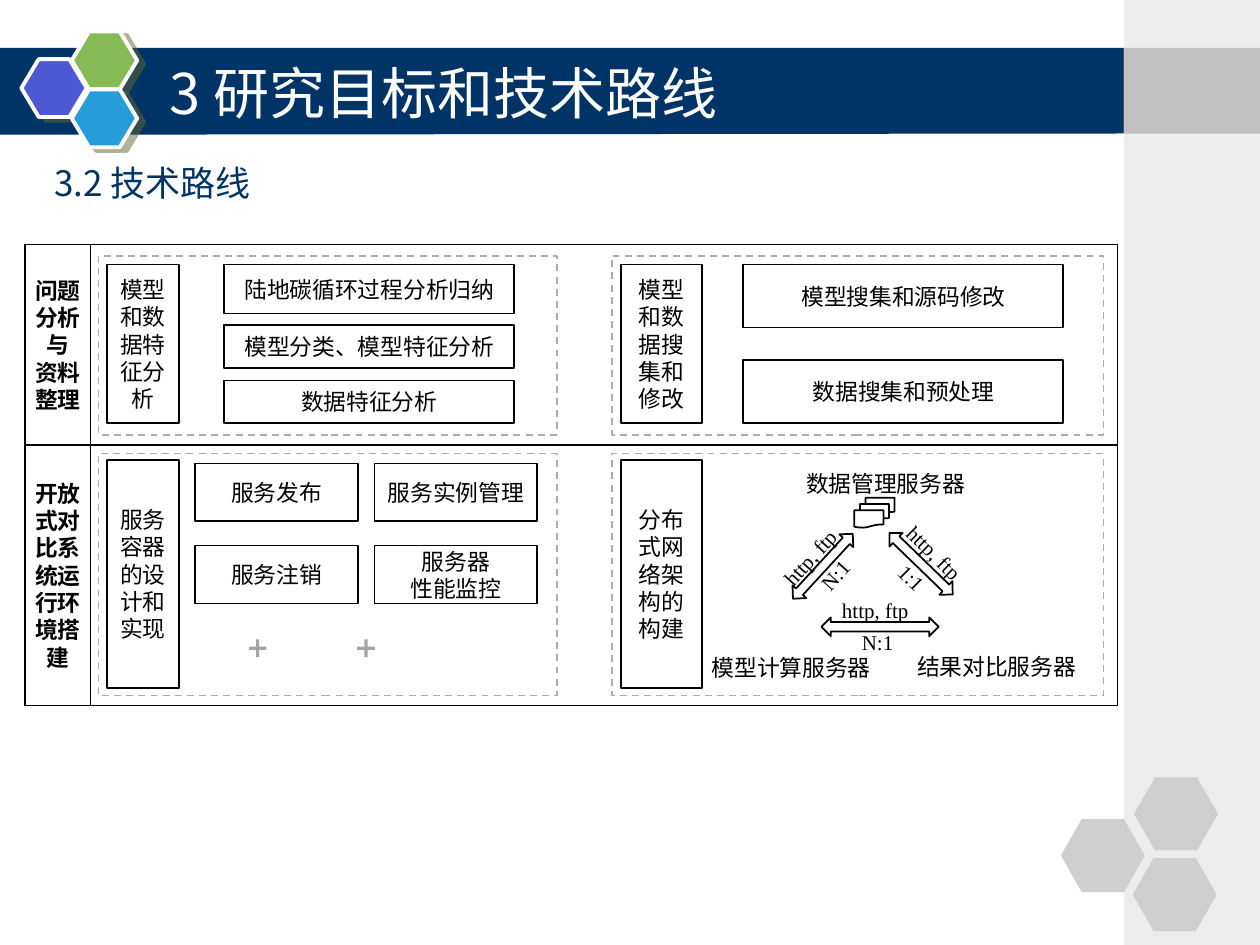
from dataclasses import dataclass
from itertools import product

from lxml import etree
from pptx import Presentation
from pptx import util as u
from pptx.dml.color import RGBColor
from pptx.enum import dml, shapes, text
from pptx.oxml import ns

Kind = shapes.MSO_SHAPE


@dataclass(frozen=True)
class Theme:
    navy: str = "003366"
    white: str = "FFFFFF"
    black: str = "000000"
    dash: str = "AFABAB"
    plus: str = "A5A5A5"
    shadow: str = "666633"
    side: str = "ECECEC"
    side_band: str = "C0C0C0"
    pale_hexagon: str = "CFCFCF"
    indigo: str = "4C59D2"
    green: str = "85BA54"
    blue: str = "269DD8"
    title: int = 32
    subtitle: int = 20
    body: int = 13
    link: int = 12
    sans: str = "Noto Sans CJK SC"
    serif: str = "Times New Roman"


@dataclass(frozen=True)
class Area:
    left: float
    top: float
    width: float
    height: float
    turn: float = 0


@dataclass(frozen=True)
class Words:
    lines: tuple[str, ...]
    size: int
    font: str
    color: str
    bold: bool = False
    centered: bool = True
    middle: bool = True
    spacing: float | None = None
    inset: tuple[float, float] = (7.2, 3.6)


THEME = Theme()
TIGHT = (3.6, 2.9)


def color(value: str) -> RGBColor:
    return RGBColor.from_string(value)


def body(*lines: str, **options) -> Words:
    return Words(lines, THEME.body, THEME.serif, THEME.black, **options)


def write(box, words: Words) -> None:
    frame = box.text_frame
    frame.word_wrap = True
    frame.vertical_anchor = text.MSO_ANCHOR.MIDDLE if words.middle else text.MSO_ANCHOR.TOP
    frame.margin_left = frame.margin_right = u.Pt(words.inset[0])
    frame.margin_top = frame.margin_bottom = u.Pt(words.inset[1])
    for index, line in enumerate(words.lines):
        para = frame.add_paragraph() if index else frame.paragraphs[0]
        para.alignment = text.PP_ALIGN.CENTER if words.centered else text.PP_ALIGN.LEFT
        if words.spacing:
            para.line_spacing = words.spacing
        span = para.add_run()
        span.text = line
        span.font.size = u.Pt(words.size)
        span.font.bold = words.bold
        span.font.color.rgb = color(words.color)
        span.font.name = words.font
        east = etree.SubElement(span._r.get_or_add_rPr(), ns.qn("a:ea"))
        east.set("typeface", THEME.sans)


def place(area: Area) -> list[int]:
    return [u.Pt(side) for side in (area.left, area.top, area.width, area.height)]


def draw_text(page, area: Area, words: Words) -> None:
    box = page.shapes.add_textbox(*place(area))
    box.rotation = area.turn
    write(box, words)


def draw_shape(page, area: Area, kind=Kind.RECTANGLE, fill: str = THEME.white,
               line: str | None = THEME.black, weight: float = 1, dashed: bool = False,
               adjust: float | None = None, words: Words | None = None):
    box = page.shapes.add_shape(kind, *place(area))
    box.shadow.inherit = False
    box.rotation = area.turn
    if adjust is not None:
        box.adjustments[0] = adjust
    box.fill.solid()
    box.fill.fore_color.rgb = color(fill)
    if line:
        box.line.color.rgb = color(line)
        box.line.width = u.Pt(weight)
        if dashed:
            box.line.dash_style = dml.MSO_LINE.DASH
    else:
        box.line.fill.background()
    if words:
        write(box, words)
    return box


def cast_shadow(box) -> None:
    effects = box._element.spPr.find(ns.qn("a:effectLst"))
    shadow = etree.SubElement(effects, ns.qn("a:outerShdw"), blurRad="0",
                              dist=str(u.Pt(4.5)), dir=str(27 * 60000), rotWithShape="0")
    tint = etree.SubElement(shadow, ns.qn("a:srgbClr"), val=THEME.shadow)
    etree.SubElement(tint, ns.qn("a:alpha"), val="50000")


def draw_backdrop(page) -> None:
    outline = page.shapes.build_freeform(u.Pt(-2), u.Pt(27.4))
    corners = ((643.7, 27.4), (643, 76.3), (-2, 77))
    outline.add_line_segments([(u.Pt(x), u.Pt(y)) for x, y in corners])
    band = outline.convert_to_shape()
    band.shadow.inherit = False
    band.fill.solid()
    band.fill.fore_color.rgb = color(THEME.navy)
    band.line.fill.background()
    for left, top, fill in ((12.2, 33.8, THEME.indigo), (41, 18, THEME.green),
                            (41, 51.1, THEME.blue)):
        cast_shadow(draw_shape(page, Area(left, top, 37.4, 33.1), Kind.HEXAGON, fill,
                               THEME.white, 2.25, adjust=0.3))
    draw_shape(page, Area(642.2, 0, 77.8, 540), fill=THEME.side, line=None)
    draw_shape(page, Area(642.2, 27.4, 77.8, 49), fill=THEME.side_band, line=None)
    for left, top in ((606.2, 468), (648, 444.2), (647.3, 490.3)):
        draw_shape(page, Area(left, top, 48, 41.8), Kind.HEXAGON, THEME.pale_hexagon,
                   None, adjust=0.286)


def draw_headings(page) -> None:
    draw_text(page, Area(90, 30.2, 534.2, 44.6),
              Words(("3 研究目标和技术路线",), THEME.title, THEME.sans, THEME.white, centered=False))
    draw_text(page, Area(23.8, 84.2, 540, 33.1),
              Words(("3.2 技术路线",), THEME.subtitle, THEME.sans, THEME.navy,
                    centered=False, middle=False, spacing=1.2))


def draw_stages(page) -> None:
    stages = (
        (139.7, 114.5, ("问题分析与", "资料整理"), 146.2, 102.2, 151.2, 90.7,
         ("模型和数据特征分析", "模型和数据搜集和修改")),
        (254.2, 149, ("开放式对比系统运行环境搭建",), 259.2, 138.2, 262.8, 130.3,
         ("服务容器的设计和实现", "分布式网络架构的构建")),
    )
    sides = ((56.2, 262, 61.2, 41), (349.6, 281, 355, 46))
    for top, height, label, panel_top, panel_height, task_top, task_height, tasks in stages:
        draw_shape(page, Area(14.4, top, 624.2, height))
        draw_shape(page, Area(14.4, top, 37.4, height),
                   words=body(*label, bold=True, inset=(3.6, 3.6)))
        for (left, width, task_left, task_width), task in zip(sides, tasks):
            draw_shape(page, Area(left, panel_top, width, panel_height),
                       line=THEME.dash, dashed=True)
            draw_shape(page, Area(task_left, task_top, task_width, task_height),
                       words=body(task))


def draw_steps(page) -> None:
    steps = (
        (Area(128.2, 151.2, 165.6, 28), "陆地碳循环过程分析归纳"),
        (Area(128.2, 185.8, 165.6, 24.5), "模型分类、模型特征分析"),
        (Area(128.2, 217.4, 165.6, 24.5), "数据特征分析"),
        (Area(424.8, 151.2, 182.9, 36), "模型搜集和源码修改"),
        (Area(424.8, 205.9, 182.9, 36), "数据搜集和预处理"),
    )
    for area, step in steps:
        draw_shape(page, area, words=body(step, inset=TIGHT))
    services = (("服务发布",), ("服务实例管理",), ("服务注销",), ("服务器", "性能监控"))
    for (row, column), lines in zip(product(range(2), repeat=2), services):
        draw_shape(page, Area(111.6 + 102.4 * column, 264.8 + 47 * row, 93, 33.1),
                   words=body(*lines))
    for left in (140.4, 202.3):
        draw_shape(page, Area(left, 363.6, 13.7, 13.7), Kind.MATH_PLUS, THEME.plus,
                   None, adjust=0.128)


def draw_network(page) -> None:
    servers = ((453.6, 265, 111, "数据管理服务器"), (399.6, 370, 109, "模型计算服务器"),
               (517, 369.4, 114, "结果对比服务器"))
    for left, top, width, name in servers:
        draw_text(page, Area(left, top, width, 23), body(name, centered=False, middle=False))
    for area in (Area(445, 318.2, 50.4, 10.8, 132.6), Area(501.1, 316.8, 50.4, 10.8, 44.1),
                 Area(469.4, 352.8, 67, 10.8)):
        draw_shape(page, area, Kind.LEFT_RIGHT_ARROW)
    links = ((505.4, 310.3, 44.8, "http, ftp"), (471.6, 343.4, 0, "http, ftp"),
             (434.2, 313.2, 312.3, "http, ftp"), (448.6, 323.3, 312.3, "N:1"),
             (492.5, 324.7, 44.8, "1:1"), (473, 361.4, 0, "N:1"))
    for left, top, turn, label in links:
        draw_text(page, Area(left, top, 57, 10.8, turn),
                  Words((label,), THEME.link, THEME.serif, THEME.black))
    for index in range(3):
        draw_shape(page, Area(494.6 - 3.2 * index, 284.4 + 3.6 * index, 16.6, 10.1),
                   Kind.FLOWCHART_DOCUMENT)


def main() -> None:
    deck = Presentation()
    deck.slide_width, deck.slide_height = u.Pt(720), u.Pt(540)
    page = deck.slides.add_slide(deck.slide_layouts[6])
    draw_backdrop(page)
    draw_headings(page)
    draw_stages(page)
    draw_steps(page)
    draw_network(page)
    deck.save("out.pptx")


if __name__ == "__main__":
    main()
